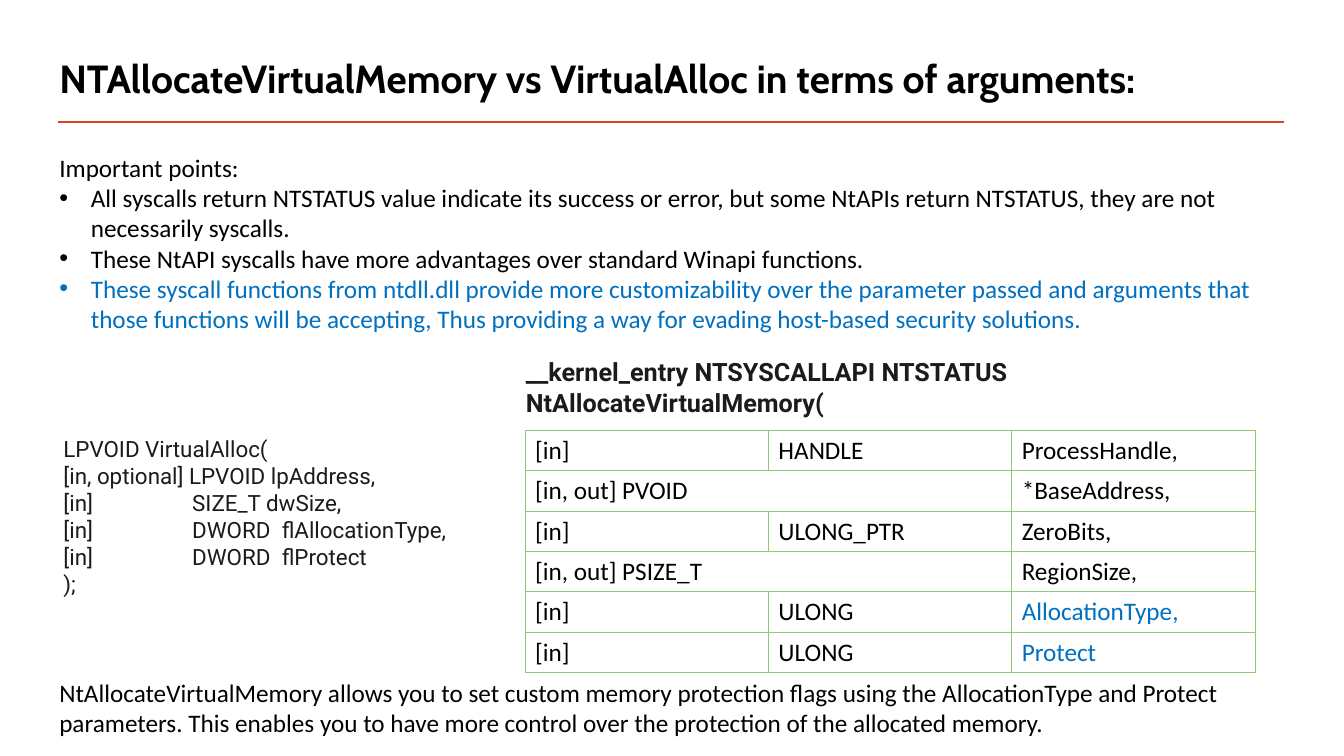
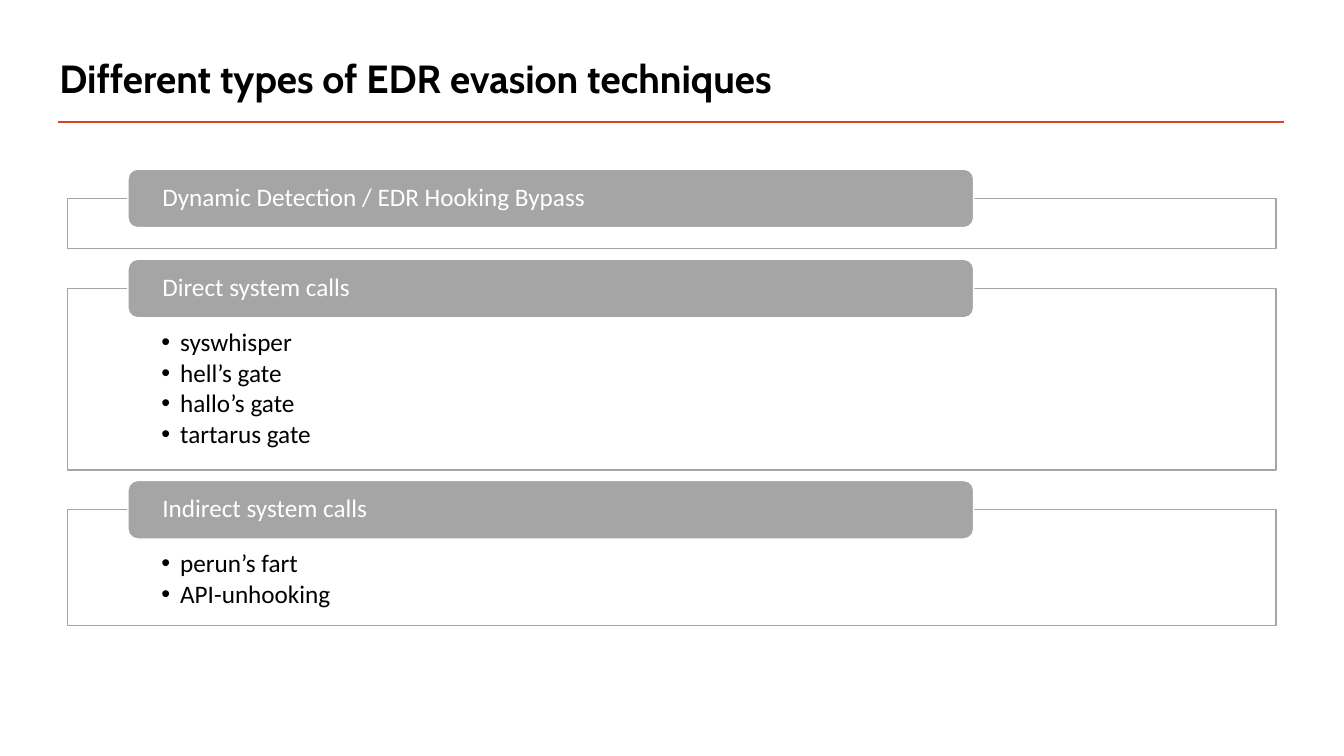
"""Builds two slides on system call arguments and EDR evasion techniques."""
from lxml.etree import SubElement
from pptx import Presentation
from pptx.dml.color import RGBColor
from pptx.enum.shapes import MSO_CONNECTOR, MSO_SHAPE
from pptx.enum.text import MSO_ANCHOR, PP_ALIGN
from pptx.oxml.ns import qn
from pptx.util import Pt

COLORS = {
    "text": "000000", "code": "1B1B1B", "highlight": "0070C0", "rule": "D24726",
    "grid": "90C971", "gray": "A5A5A5", "white": "FFFFFF",
}
TITLE_FONT, BODY_FONT, CODE_FONT = "Cabin", "Calibri", "Roboto"
TITLE_BOX = (35.3, 32.4, 881.3, 50.4)

ARGUMENTS_TITLE = "NTAllocateVirtualMemory vs VirtualAlloc in terms of arguments:"
POINTS_HEADING = "Important points:"
POINTS = [
    "All syscalls return NTSTATUS value indicate its success or error, but some NtAPIs "
    "return NTSTATUS, they are not necessarily syscalls.",
    "These NtAPI syscalls have more advantages over standard Winapi functions.",
    "These syscall functions from ntdll.dll provide more customizability over the parameter "
    "passed and arguments that those functions will be accepting, Thus providing a way for "
    "evading host-based security solutions.",
]
VIRTUAL_ALLOC = [
    "LPVOID VirtualAlloc(",
    "[in, optional] LPVOID lpAddress,",
    "[in]\tSIZE_T dwSize,",
    "[in]\tDWORD\tflAllocationType,",
    "[in]\tDWORD\tflProtect",
    ");",
]
CODE_TABS = (92, 156)
NT_ALLOCATE = "__kernel_entry NTSYSCALLAPI NTSTATUS NtAllocateVirtualMemory("
NT_PARAMETERS = [
    ("[in]", "HANDLE", "ProcessHandle,"),
    ("[in, out] PVOID", None, "*BaseAddress,"),
    ("[in]", "ULONG_PTR", "ZeroBits,"),
    ("[in, out] PSIZE_T", None, "RegionSize,"),
    ("[in]", "ULONG", "AllocationType,"),
    ("[in]", "ULONG", "Protect"),
]
HIGHLIGHTED = {"AllocationType,", "Protect"}
CONCLUSION = (
    "NtAllocateVirtualMemory allows you to set custom memory protection flags using the "
    "AllocationType and Protect parameters. This enables you to have more control over the "
    "protection of the allocated memory."
)

EVASION_TITLE = "Different types of EDR evasion techniques"
TECHNIQUES = [
    ("Dynamic Detection / EDR Hooking Bypass", []),
    ("Direct system calls", ["syswhisper", "hell’s gate", "hallo’s gate", "tartarus gate"]),
    ("Indirect system calls", ["perun’s fart", "API-unhooking"]),
]
PANEL_LEFT, PANEL_TOP, PANEL_WIDTH = 48.2, 141.7, 863.3
PANEL_BASE, ITEM_HEIGHT, PANEL_GAP = 36, 23.4, 28.4
LABEL_LEFT, LABEL_WIDTH, LABEL_HEIGHT = 91.4, 604.1, 41.8


def rgb(name):
    return RGBColor.from_string(COLORS[name])


def points(values):
    return [Pt(value) for value in values]


def style(paragraph, size=18, font=BODY_FONT, color="text", bold=False):
    paragraph.font.size = Pt(size)
    paragraph.font.name = font
    paragraph.font.bold = bold
    paragraph.font.color.rgb = rgb(color)


def write(frame, lines, **look):
    frame.word_wrap = True
    frame.text = "\n".join(lines)
    for paragraph in frame.paragraphs:
        paragraph.alignment = PP_ALIGN.LEFT
        style(paragraph, **look)
    return frame.paragraphs


def add_text(slide, box, lines, **look):
    textbox = slide.shapes.add_textbox(*points(box))
    return write(textbox.text_frame, lines, **look)


def add_bullet(paragraph, indent):
    properties = paragraph._p.get_or_add_pPr()
    properties.set("marL", str(Pt(indent)))
    properties.set("indent", str(-Pt(indent)))
    SubElement(properties, qn("a:buFont"), typeface="Arial")
    SubElement(properties, qn("a:buChar"), char="•")


def add_tabs(paragraph, positions):
    tabs = SubElement(paragraph._p.get_or_add_pPr(), qn("a:tabLst"))
    tabs_before = paragraph._p.pPr.find(qn("a:defRPr"))
    if tabs_before is not None:
        tabs_before.addprevious(tabs)
    for position in positions:
        SubElement(tabs, qn("a:tab"), pos=str(Pt(position)), algn="l")


def add_borders(cell, color, width):
    properties = cell._tc.get_or_add_tcPr()
    for index, side in enumerate(("a:lnL", "a:lnR", "a:lnT", "a:lnB")):
        line = SubElement(properties, qn(side), w=str(Pt(width)))
        fill = SubElement(line, qn("a:solidFill"))
        SubElement(fill, qn("a:srgbClr"), val=COLORS[color])
        properties.insert(index, line)


def add_titled_slide(presentation, title):
    slide = presentation.slides.add_slide(presentation.slide_layouts[6])
    rule = slide.shapes.add_connector(MSO_CONNECTOR.STRAIGHT, *points((41.8, 87.1, 917.3, 87.1)))
    rule.line.color.rgb = rgb("rule")
    rule.line.width = Pt(2)
    SubElement(rule._element.spPr, qn("a:effectLst"))
    textbox = slide.shapes.add_textbox(*points(TITLE_BOX))
    textbox.text_frame.vertical_anchor = MSO_ANCHOR.MIDDLE
    write(textbox.text_frame, [title], size=28, font=TITLE_FONT, bold=True)[0].line_spacing = 0.9
    return slide


def add_parameter_table(slide):
    box = points((375.1, 307.4, 521.3, 172.8))
    table = slide.shapes.add_table(len(NT_PARAMETERS), 3, *box).table
    table.first_row = table.horz_banding = False
    for row, values in enumerate(NT_PARAMETERS):
        for column, value in enumerate(values):
            cell = table.cell(row, column)
            cell.fill.background()
            cell.vertical_anchor = MSO_ANCHOR.MIDDLE
            add_borders(cell, "grid", 0.6)
            if value is None:
                table.cell(row, column - 1).merge(cell)
                continue
            cell.text = value
            color = "highlight" if value in HIGHLIGHTED else "text"
            style(cell.text_frame.paragraphs[0], color=color)


def add_box(slide, preset, box, fill, line, margins):
    shape = slide.shapes.add_shape(preset, *points(box))
    shape.shadow.inherit = False
    shape.fill.solid()
    shape.fill.fore_color.rgb = rgb(fill)
    shape.line.color.rgb = rgb(line)
    shape.line.width = Pt(1)
    frame = shape.text_frame
    side, frame.margin_top, frame.margin_bottom = points(margins)
    frame.margin_left = frame.margin_right = side
    return frame


def add_technique(slide, top, label, items):
    height = PANEL_BASE + ITEM_HEIGHT * len(items)
    panel = add_box(slide, MSO_SHAPE.RECTANGLE, (PANEL_LEFT, top, PANEL_WIDTH, height),
                    "white", "gray", (67, 29.5, 10))
    panel.vertical_anchor = MSO_ANCHOR.TOP
    if items:
        for paragraph in write(panel, items):
            paragraph.line_spacing = 0.9
            paragraph.space_after = Pt(2.4)
            add_bullet(paragraph, 13.5)
    label_box = (LABEL_LEFT, top - LABEL_HEIGHT / 2, LABEL_WIDTH, LABEL_HEIGHT)
    heading = add_box(slide, MSO_SHAPE.ROUNDED_RECTANGLE, label_box, "gray", "white", (22.5, 0, 0))
    heading.vertical_anchor = MSO_ANCHOR.MIDDLE
    write(heading, [label], color="white")[0].line_spacing = 0.9
    return top + height + PANEL_GAP


def build_arguments(presentation):
    slide = add_titled_slide(presentation, ARGUMENTS_TITLE)
    bullets = add_text(slide, (35.3, 105.1, 884.2, 138.2), [POINTS_HEADING, *POINTS])[1:]
    for paragraph in bullets:
        add_bullet(paragraph, 22.5)
    bullets[-1].font.color.rgb = rgb("highlight")
    code = add_text(slide, (38.2, 307.4, 317.5, 123.8), VIRTUAL_ALLOC,
                    size=16, font=CODE_FONT, color="code")
    for paragraph in code:
        add_tabs(paragraph, CODE_TABS)
    add_text(slide, (368.6, 251.3, 534.2, 28.8), [NT_ALLOCATE],
             font=CODE_FONT, color="code", bold=True)
    add_parameter_table(slide)
    add_text(slide, (35.3, 480.2, 881.3, 51.1), [CONCLUSION])


def build_evasion(presentation):
    slide = add_titled_slide(presentation, EVASION_TITLE)
    top = PANEL_TOP
    for label, items in TECHNIQUES:
        top = add_technique(slide, top, label, items)


def main():
    presentation = Presentation()
    presentation.slide_width, presentation.slide_height = Pt(960), Pt(540)
    build_arguments(presentation)
    build_evasion(presentation)
    presentation.save("out.pptx")


if __name__ == "__main__":
    main()
